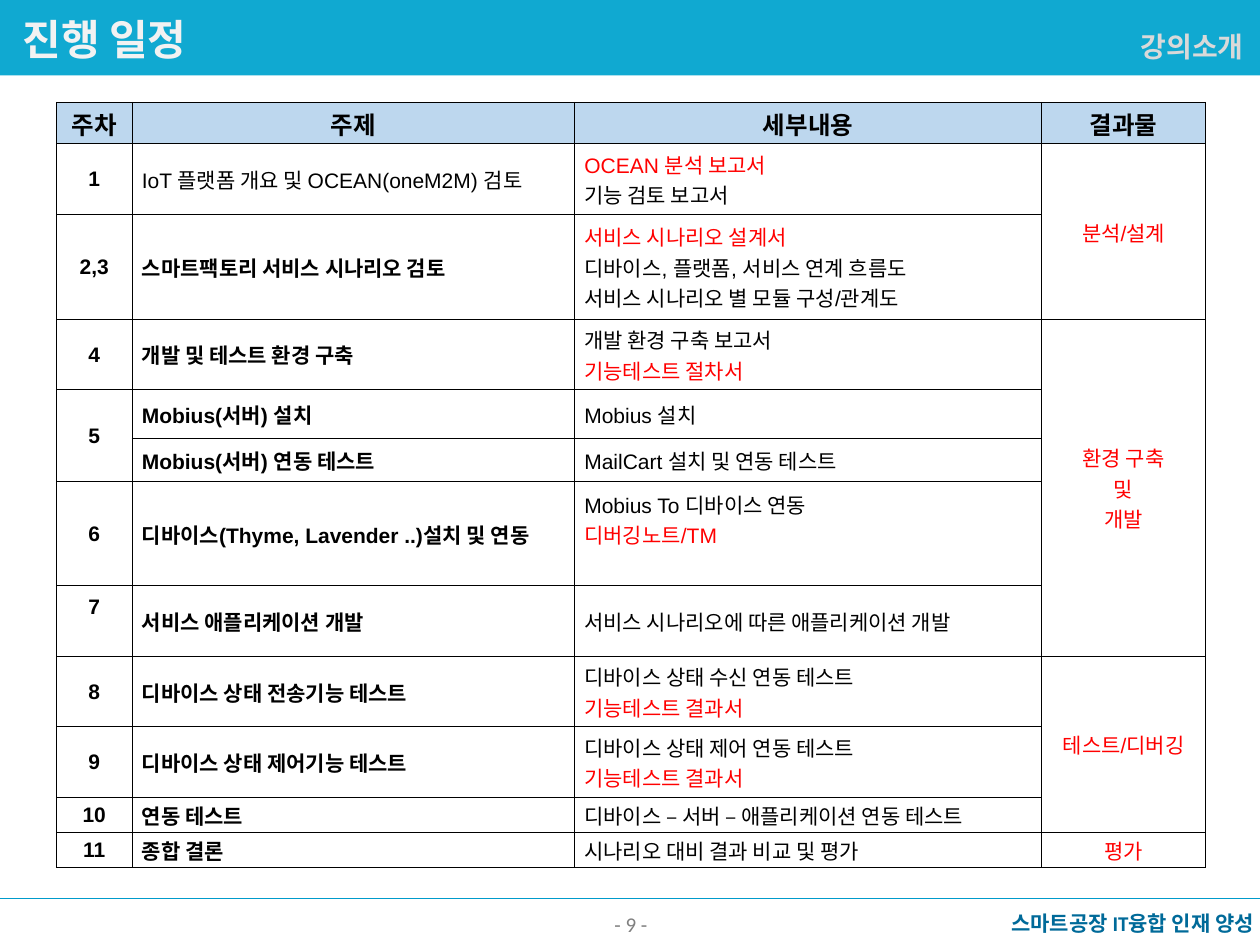
from dataclasses import dataclass

from lxml import etree
from pptx import Presentation
from pptx import util as u
from pptx.dml.color import RGBColor
from pptx.enum import shapes, text
from pptx.oxml import ns

COLORS = {
    "bar": "10A9D1", "rule": "009BCB", "footer": "006A99", "number": "808080",
    "title": "F2F2F2", "section": "D9D9D9", "header": "BDD7EE",
    "black": "000000", "red": "FF0000",
}
LEFT, CENTER, RIGHT = text.PP_ALIGN.LEFT, text.PP_ALIGN.CENTER, text.PP_ALIGN.RIGHT
TOP, MIDDLE = text.MSO_ANCHOR.TOP, text.MSO_ANCHOR.MIDDLE


@dataclass
class Label:
    words: str
    place: tuple[float, float, float, float]
    size: int
    color: str
    align: text.PP_ALIGN
    bold: bool = True
    anchor: text.MSO_ANCHOR = TOP
    wrap: bool = False


@dataclass
class Week:
    """One table row; lines starting with * are red deliverables."""
    height: float
    number: str
    topic: str
    details: tuple[str, ...]
    result: tuple[str, ...] = ()
    topic_bold: bool = True
    number_lift: float = 0
    details_lift: float = 0


TITLE = Label("진행 일정", (0.2, 0.15, 4.11, 1.27), 24, "title", LEFT)
LABELS = [
    Label("스마트공장 IT융합 인재 양성", (19.69, 18.24, 5.84, 0.76), 12, "footer", RIGHT),
    Label("- 9 -", (9.86, 18.11, 5.72, 1.02), 12, "number", CENTER, False, MIDDLE, True),
    Label("강의소개", (22.53, 0.48, 2.79, 0.94), 16, "section", RIGHT),
]
HEADERS = ["주차", "주제", "세부내용", "결과물"]
HEADER_HEIGHT = 0.84
WIDTHS = [1.52, 8.92, 9.42, 3.3]
WEEKS = [
    Week(1.42, "1", "IoT 플랫폼 개요 및 OCEAN(oneM2M) 검토",
         ("*OCEAN 분석 보고서", "기능 검토 보고서"), ("*분석/설계",), topic_bold=False),
    Week(2.11, "2,3", "스마트팩토리 서비스 시나리오 검토",
         ("*서비스 시나리오 설계서", "디바이스, 플랫폼, 서비스 연계 흐름도",
          "서비스 시나리오 별 모듈 구성/관계도")),
    Week(1.42, "4", "개발 및 테스트 환경 구축",
         ("개발 환경 구축 보고서", "*기능테스트 절차서"), ("*환경 구축", "*및", "*개발")),
    Week(0.99, "5", "Mobius(서버) 설치", ("Mobius 설치",)),
    Week(0.86, "", "Mobius(서버) 연동 테스트", ("MailCart 설치 및 연동 테스트",)),
    Week(2.11, "6", "디바이스(Thyme, Lavender ..)설치 및 연동",
         ("Mobius To 디바이스 연동", "*디버깅노트/TM"), details_lift=0.6),
    Week(1.42, "7", "서비스 애플리케이션 개발",
         ("서비스 시나리오에 따른 애플리케이션 개발",), number_lift=0.6),
    Week(1.42, "8", "디바이스 상태 전송기능 테스트",
         ("디바이스 상태 수신 연동 테스트", "*기능테스트 결과서"), ("*테스트/디버깅",)),
    Week(1.42, "9", "디바이스 상태 제어기능 테스트",
         ("디바이스 상태 제어 연동 테스트", "*기능테스트 결과서")),
    Week(0.71, "10", "연동 테스트", ("디바이스 – 서버 – 애플리케이션 연동 테스트",)),
    Week(0.71, "11", "종합 결론", ("시나리오 대비 결과 비교 및 평가",), ("*평가",)),
]
MERGES = [((1, 3), (2, 3)), ((3, 3), (7, 3)), ((8, 3), (10, 3)), ((4, 0), (5, 0))]


def rgb(name: str) -> RGBColor:
    return RGBColor.from_string(COLORS[name])


def set_all(target, values: dict) -> None:
    for name, value in values.items():
        setattr(target, name, value)


def write_span(para, words: str, face: str, size: int, color: str, bold: bool,
               align: text.PP_ALIGN) -> None:
    para.alignment = align
    span = para.add_run()
    span.text = words
    set_all(span.font, {"name": face, "size": u.Pt(size), "bold": bold})
    span.font.color.rgb = rgb(color)


def fill_label(box, label: Label) -> None:
    sides = ("left", "top", "width", "height")
    set_all(box, {side: u.Cm(value) for side, value in zip(sides, label.place)})
    frame = box.text_frame
    set_all(frame, {"word_wrap": label.wrap, "vertical_anchor": label.anchor,
                    "auto_size": text.MSO_AUTO_SIZE.NONE})
    write_span(frame.paragraphs[0], label.words, "Calibri", label.size,
               label.color, label.bold, label.align)


def add_borders(cell) -> None:
    properties = cell._tc.get_or_add_tcPr()
    for index, side in enumerate(("lnL", "lnR", "lnT", "lnB")):
        line = etree.Element(ns.qn(f"a:{side}"), w=str(u.Pt(0.5)))
        fill = etree.SubElement(line, ns.qn("a:solidFill"))
        etree.SubElement(fill, ns.qn("a:srgbClr"), val=COLORS["black"])
        properties.insert(index, line)


def fill_cell(cell, lines: tuple[str, ...], bold: bool, align: text.PP_ALIGN,
              size: int = 12, margin: float = 0.2, lift: float = 0) -> None:
    set_all(cell, {"vertical_anchor": MIDDLE, "margin_left": u.Cm(margin),
                   "margin_right": u.Cm(margin), "margin_top": u.Cm(0.02),
                   "margin_bottom": u.Cm(lift)})
    for index, line in enumerate(lines):
        frame = cell.text_frame
        para = frame.add_paragraph() if index else frame.paragraphs[0]
        color = "red" if line.startswith("*") else "black"
        write_span(para, line.removeprefix("*"), "Arial", size, color, bold, align)


def add_schedule(page) -> None:
    heights = [HEADER_HEIGHT] + [week.height for week in WEEKS]
    table = page.shapes.add_table(
        len(heights), len(WIDTHS), u.Cm(1.14), u.Cm(2.06),
        u.Cm(sum(WIDTHS)), u.Cm(sum(heights))).table
    set_all(table, {"first_row": False, "horz_banding": False})
    for column, width in zip(table.columns, WIDTHS):
        column.width = u.Cm(width)
    for row, height in zip(table.rows, heights):
        row.height = u.Cm(height)
    for cell in table.iter_cells():
        cell.fill.background()
        add_borders(cell)
    for start, end in MERGES:
        table.cell(*start).merge(table.cell(*end))

    for column, heading in enumerate(HEADERS):
        cell = table.cell(0, column)
        cell.fill.solid()
        cell.fill.fore_color.rgb = rgb("header")
        fill_cell(cell, (heading,), True, CENTER, size=14, margin=0.02)
    for row, week in enumerate(WEEKS, start=1):
        number, topic, details, result = (table.cell(row, c) for c in range(4))
        if week.number:
            fill_cell(number, (week.number,), True, CENTER, lift=week.number_lift)
        fill_cell(topic, (week.topic,), week.topic_bold, LEFT)
        fill_cell(details, week.details, False, LEFT, lift=week.details_lift)
        if week.result:
            fill_cell(result, week.result, False, CENTER)


def add_frame(page, width: int) -> None:
    """Draw the top bar behind the title and the rule above the footer."""
    bar = page.shapes.add_shape(shapes.MSO_SHAPE.RECTANGLE, 0, 0, width, u.Cm(1.52))
    bar.shadow.inherit = False
    bar.fill.solid()
    bar.fill.fore_color.rgb = rgb("bar")
    bar.line.fill.background()
    page.shapes.title.element.addprevious(bar.element)

    height = u.Cm(18.11)
    rule = page.shapes.add_connector(
        shapes.MSO_CONNECTOR.STRAIGHT, 0, height, width, height)
    rule.line.color.rgb = rgb("rule")
    rule.line.width = u.Pt(0.5)
    etree.SubElement(rule.element.spPr, ns.qn("a:effectLst"))


def main() -> None:
    deck = Presentation()
    deck.slide_width, deck.slide_height = u.Cm(25.4), u.Cm(19.05)
    page = deck.slides.add_slide(deck.slide_layouts.get_by_name("Title Only"))
    add_frame(page, deck.slide_width)
    fill_label(page.shapes.title, TITLE)
    for label in LABELS:
        fill_label(page.shapes.add_textbox(0, 0, 0, 0), label)
    add_schedule(page)
    deck.save("out.pptx")


if __name__ == "__main__":
    main()
